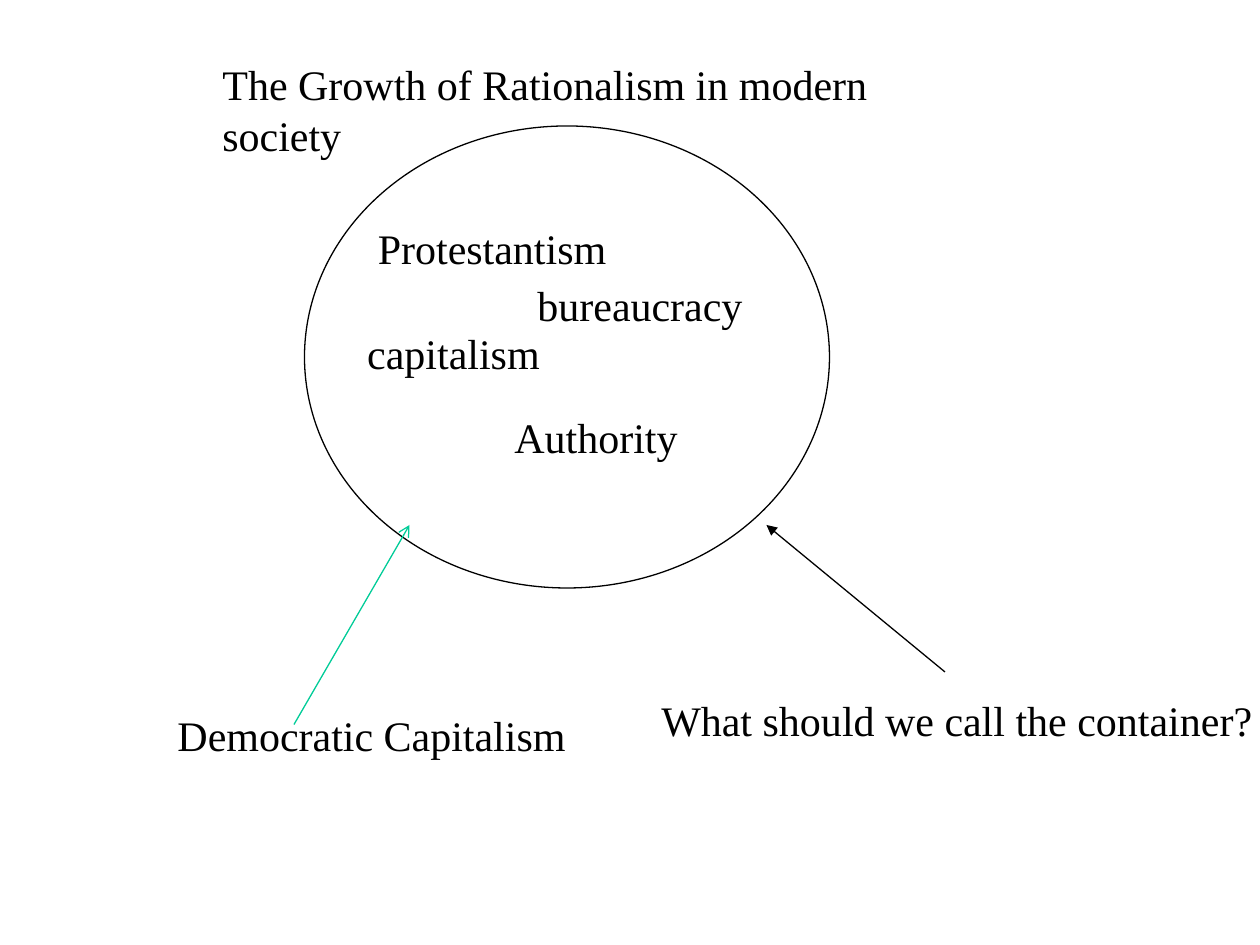
import pptx
import pptx.util
import pptx.dml.color
import pptx.enum.shapes
import pptx.enum.text
import pptx.oxml
import pptx.oxml.ns

Pt = pptx.util.Pt


def color(value):
    return pptx.dml.color.RGBColor.from_string(value)


presentation = pptx.Presentation()
presentation.slide_width = Pt(720)
presentation.slide_height = Pt(540)
slide = presentation.slides.add_slide(presentation.slide_layouts[6])

container = slide.shapes.add_shape(
    pptx.enum.shapes.MSO_SHAPE.OVAL, Pt(174), Pt(72), Pt(300), Pt(264)
)
container.shadow.inherit = False
container.fill.background()
container.line.color.rgb = color("000000")
container.line.width = Pt(0.75)

labels = [
    ("Protestantism", 208.8, 123.4, 148, 36, False),
    ("bureaucracy", 300, 156, 135, 36, False),
    ("capitalism", 202.8, 183.6, 116, 36, False),
    ("What should we call the container?", 370.8, 393.1, 355, 36, False),
    ("The Growth of Rationalism in modern society", 120, 30, 456, 65, True),
    ("Authority", 286.8, 231.4, 111, 36, False),
    ("Democratic Capitalism", 94.3, 401.8, 239, 36, False),
]
for text, left, top, width, height, wrap in labels:
    box = slide.shapes.add_textbox(Pt(left), Pt(top), Pt(width), Pt(height))
    frame = box.text_frame
    frame.word_wrap = wrap
    frame.auto_size = pptx.enum.text.MSO_AUTO_SIZE.SHAPE_TO_FIT_TEXT
    run = frame.paragraphs[0].add_run()
    run.text = text
    run.font.name = "Times New Roman"
    run.font.size = Pt(24)
    run.font.color.rgb = color("000000")

arrows = [
    (540, 384, 438, 300, "000000", "triangle"),
    (168, 414, 234, 300, "00CC98", "arrow"),
]
for start_x, start_y, end_x, end_y, line_color, head in arrows:
    arrow = slide.shapes.add_connector(
        pptx.enum.shapes.MSO_CONNECTOR.STRAIGHT,
        Pt(start_x), Pt(start_y), Pt(end_x), Pt(end_y),
    )
    arrow.line.color.rgb = color(line_color)
    arrow.line.width = Pt(0.75)
    tail = pptx.oxml.parse_xml(
        f'<a:tailEnd {pptx.oxml.ns.nsdecls("a")} type="{head}"/>'
    )
    arrow.line._get_or_add_ln().append(tail)
    effects = pptx.oxml.parse_xml(f'<a:effectLst {pptx.oxml.ns.nsdecls("a")}/>')
    arrow._element.spPr.append(effects)

presentation.save("out.pptx")
